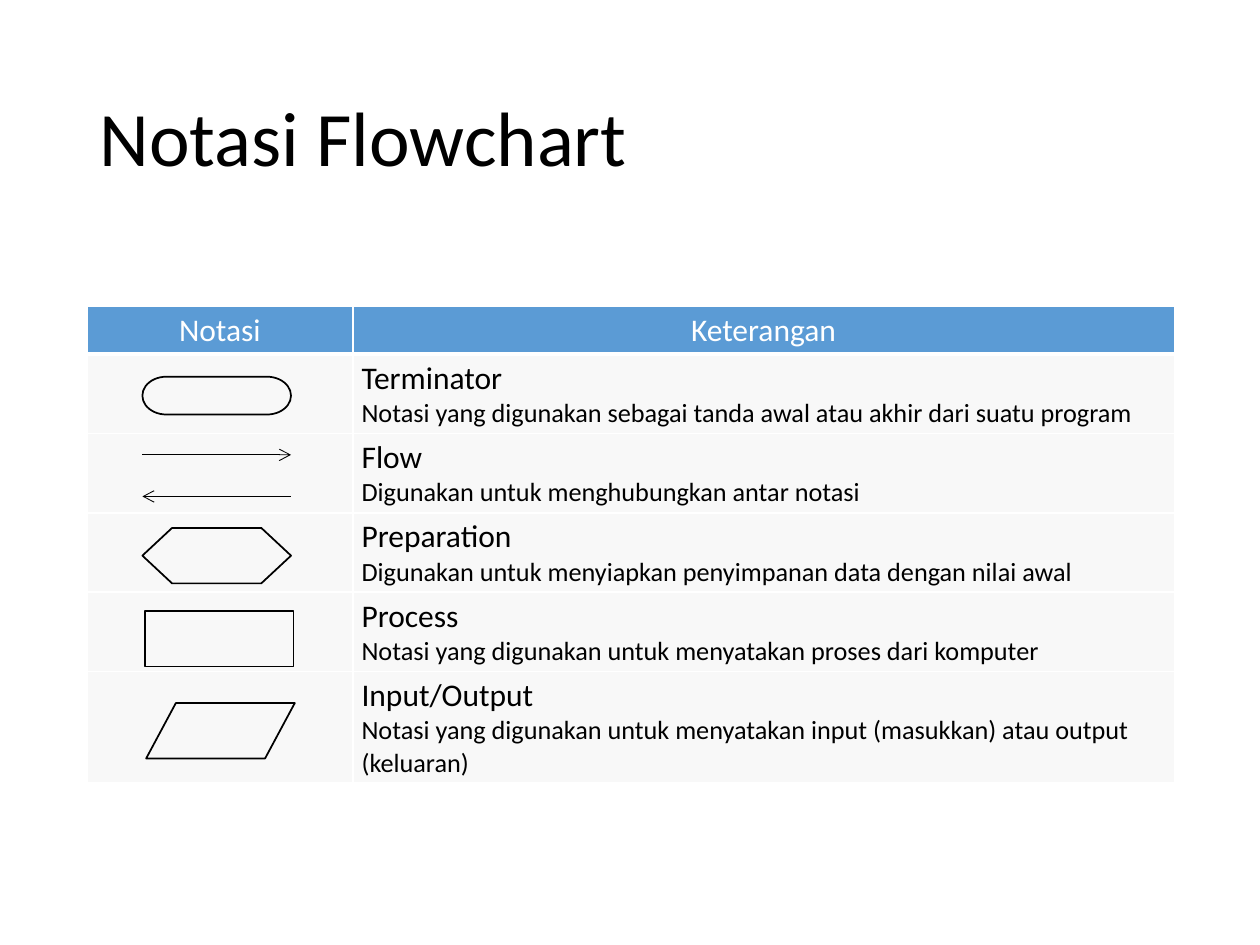
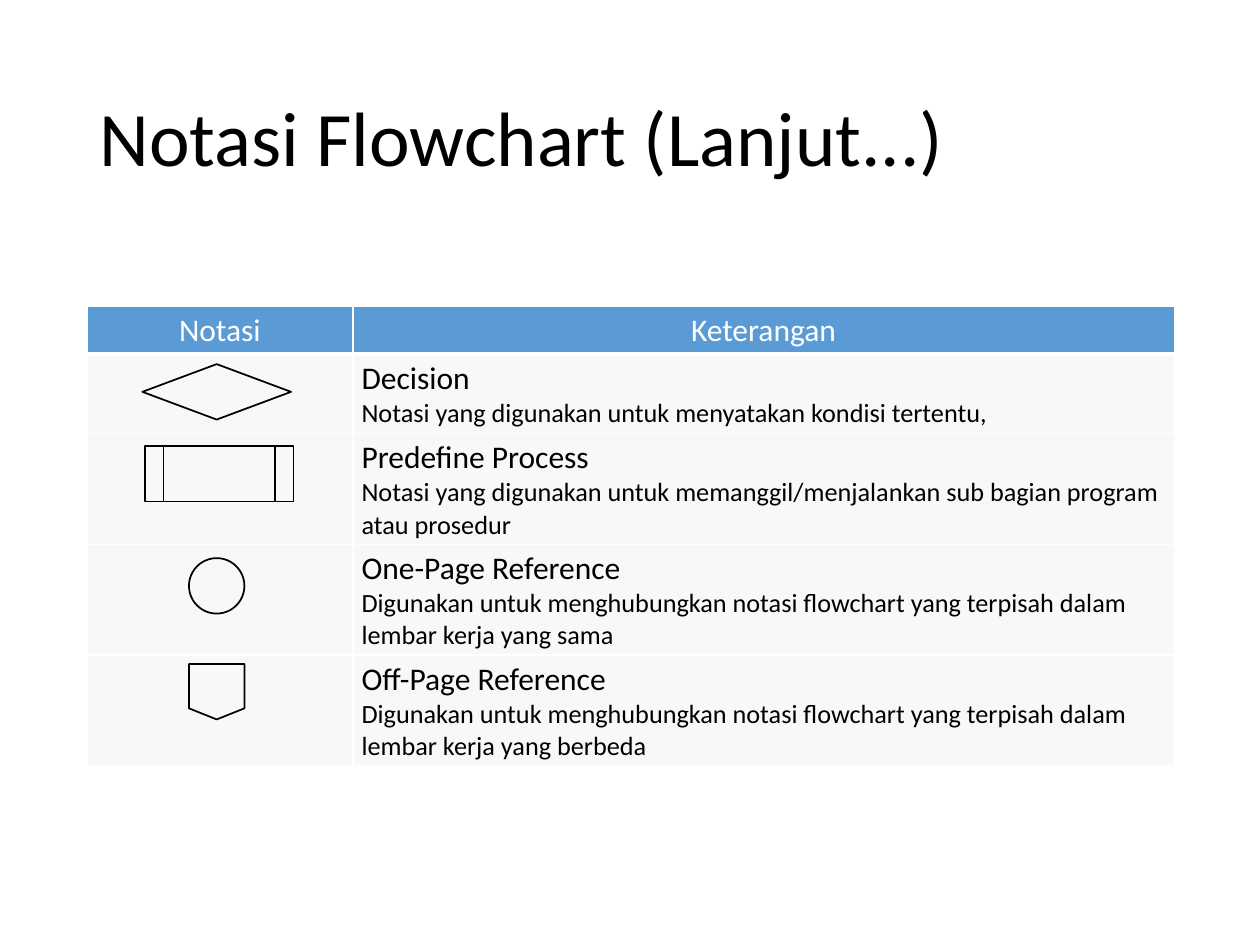
from lxml import etree
from pptx import Presentation
from pptx import util as u
from pptx.dml.color import RGBColor
from pptx.enum import shapes, text
from pptx.oxml import ns

SHAPE = shapes.MSO_SHAPE
BLACK, WHITE, BLUE, GREY = "000000", "FFFFFF", "5B9BD5", "F2F2F2"
LEFT, WIDTH = 0.69, 8.62
COLUMNS = (2.11, 6.52)
HEADER_HEIGHT, ONE_LINE, TWO_LINES = 0.38, 0.62, 0.88
SYMBOL_LEFT, SYMBOL_WIDTH, SYMBOL_HEIGHT = 1.13, 1.18, 0.44

SLIDES = [
    {
        "title": "Notasi Flowchart",
        "rows": [
            ("Terminator", "Notasi yang digunakan sebagai tanda awal atau akhir dari suatu program", ONE_LINE),
            ("Flow", "Digunakan untuk menghubungkan antar notasi", ONE_LINE),
            ("Preparation", "Digunakan untuk menyiapkan penyimpanan data dengan nilai awal", ONE_LINE),
            ("Process", "Notasi yang digunakan untuk menyatakan proses dari komputer", ONE_LINE),
            ("Input/Output", "Notasi yang digunakan untuk menyatakan input (masukkan) atau output (keluaran)",
             TWO_LINES),
        ],
        "symbols": [
            (SHAPE.FLOWCHART_TERMINATOR, SYMBOL_LEFT, 2.99, SYMBOL_WIDTH, 0.3),
            (SHAPE.FLOWCHART_PREPARATION, SYMBOL_LEFT, 4.19, SYMBOL_WIDTH, SYMBOL_HEIGHT),
            (SHAPE.FLOWCHART_PROCESS, 1.15, 4.85, SYMBOL_WIDTH, SYMBOL_HEIGHT),
            (SHAPE.FLOWCHART_DATA, 1.16, 5.58, SYMBOL_WIDTH, SYMBOL_HEIGHT),
        ],
        "arrows": [(3.61, "tailEnd"), (3.94, "headEnd")],
    },
    {
        "title": "Notasi Flowchart (Lanjut...)",
        "rows": [
            ("Decision", "Notasi yang digunakan untuk menyatakan kondisi tertentu,", ONE_LINE),
            ("Predefine Process",
             "Notasi yang digunakan untuk memanggil/menjalankan sub bagian program atau prosedur", TWO_LINES),
            ("One-Page Reference",
             "Digunakan untuk menghubungkan notasi flowchart yang terpisah dalam lembar kerja yang sama", TWO_LINES),
            ("Off-Page Reference",
             "Digunakan untuk menghubungkan notasi flowchart yang terpisah dalam lembar kerja yang berbeda",
             TWO_LINES),
        ],
        "symbols": [
            (SHAPE.FLOWCHART_DECISION, SYMBOL_LEFT, 2.89, SYMBOL_WIDTH, SYMBOL_HEIGHT),
            (SHAPE.FLOWCHART_CONNECTOR, 1.5, 4.43, SYMBOL_HEIGHT, SYMBOL_HEIGHT),
            (SHAPE.FLOWCHART_OFFPAGE_CONNECTOR, 1.5, 5.27, SYMBOL_HEIGHT, SYMBOL_HEIGHT),
            (SHAPE.FLOWCHART_PREDEFINED_PROCESS, 1.15, 3.54, SYMBOL_WIDTH, SYMBOL_HEIGHT),
        ],
        "arrows": [],
    },
]


def color(value):
    """Turn a hex string into a colour."""
    return RGBColor.from_string(value)


def set_formats(target, formats):
    """Set each named format value on the target."""
    for name, value in formats.items():
        setattr(target, name, value)


def add_xml(parent, tag, **attributes):
    """Append a drawing element to the parent."""
    return etree.SubElement(parent, ns.qn(f"a:{tag}"), attributes)


class Deck:
    """Hold the shared style and the current slide."""

    font = "Calibri"

    def __init__(self):
        """Start an empty 10 by 7.5 inch presentation."""
        self.presentation = Presentation()
        set_formats(self.presentation, {"slide_width": u.Inches(10), "slide_height": u.Inches(7.5)})
        self.slide = None

    def add_slide(self):
        """Start a new blank slide."""
        self.slide = self.presentation.slides.add_slide(self.presentation.slide_layouts[6])

    def add_words(self, paragraph, words, size, ink=BLACK, **formats):
        """Put words into a paragraph in the shared font."""
        set_formats(paragraph, formats)
        run = paragraph.add_run()
        run.text = words
        set_formats(run.font, {"name": self.font, "size": u.Pt(size), "bold": False})
        run.font.color.rgb = color(ink)

    def title(self, words):
        """Add the slide title."""
        box = self.slide.shapes.add_textbox(u.Inches(LEFT), u.Inches(0.4), u.Inches(WIDTH), u.Inches(1.45))
        set_formats(box.text_frame, {"word_wrap": True, "vertical_anchor": text.MSO_ANCHOR.MIDDLE})
        self.add_words(box.text_frame.paragraphs[0], words, 44, line_spacing=0.9)

    def style_cell(self, cell, fill, bottom=1, alpha=None):
        """Give a cell its margins, white borders and fill."""
        set_formats(cell, {"margin_left": u.Inches(0.07), "margin_right": u.Inches(0.07),
                           "margin_top": u.Inches(0.04), "margin_bottom": u.Inches(0.04)})
        properties = cell._tc.get_or_add_tcPr()
        for side, points in {"L": 1, "R": 1, "T": 1, "B": bottom}.items():
            border = add_xml(properties, f"ln{side}", w=str(u.Pt(points)))
            add_xml(add_xml(border, "solidFill"), "srgbClr", val=WHITE)
        cell.fill.solid()
        cell.fill.fore_color.rgb = color(fill)
        if alpha:
            add_xml(properties.find(ns.qn("a:solidFill"))[0], "alpha", val=str(alpha * 1000))

    def table(self, rows):
        """Add the table of notations and their descriptions."""
        heights = [HEADER_HEIGHT] + [height for _, _, height in rows]
        table = self.slide.shapes.add_table(len(heights), len(COLUMNS), u.Inches(LEFT), u.Inches(2.43),
                                            u.Inches(WIDTH), u.Inches(sum(heights))).table
        set_formats(table, {"first_row": False, "horz_banding": False})
        for column, width in zip(table.columns, COLUMNS):
            column.width = u.Inches(width)
        for row, height in zip(table.rows, heights):
            row.height = u.Inches(height)
        for index, heading in enumerate(("Notasi", "Keterangan")):
            cell = table.cell(0, index)
            self.style_cell(cell, BLUE, bottom=3)
            self.add_words(cell.text_frame.paragraphs[0], heading, 18, WHITE, alignment=text.PP_ALIGN.CENTER)
        for index, (name, description, _) in enumerate(rows, 1):
            for cell in table.rows[index].cells:
                self.style_cell(cell, GREY, alpha=50)
            frame = table.cell(index, 1).text_frame
            self.add_words(frame.paragraphs[0], name, 18)
            self.add_words(frame.add_paragraph(), description, 15)

    def symbol(self, kind, *box):
        """Add an outlined flowchart symbol."""
        shape = self.slide.shapes.add_shape(kind, *map(u.Inches, box))
        shape.shadow.inherit = False
        shape.fill.background()
        shape.line.color.rgb = color(BLACK)
        shape.line.width = u.Pt(1)

    def arrow(self, top, end):
        """Add a horizontal flow line with an arrowhead at one end."""
        points = (SYMBOL_LEFT, top, SYMBOL_LEFT + SYMBOL_WIDTH, top)
        connector = self.slide.shapes.add_connector(shapes.MSO_CONNECTOR.STRAIGHT, *map(u.Inches, points))
        connector.line.color.rgb = color(BLACK)
        connector.line.width = u.Pt(0.5)
        add_xml(connector.line._get_or_add_ln(), end, type="arrow")
        add_xml(connector._element.spPr, "effectLst")


def main():
    """Build and save the slides."""
    deck = Deck()
    for content in SLIDES:
        deck.add_slide()
        deck.title(content["title"])
        deck.table(content["rows"])
        for symbol in content["symbols"]:
            deck.symbol(*symbol)
        for arrow in content["arrows"]:
            deck.arrow(*arrow)
    deck.presentation.save("out.pptx")


if __name__ == "__main__":
    main()
